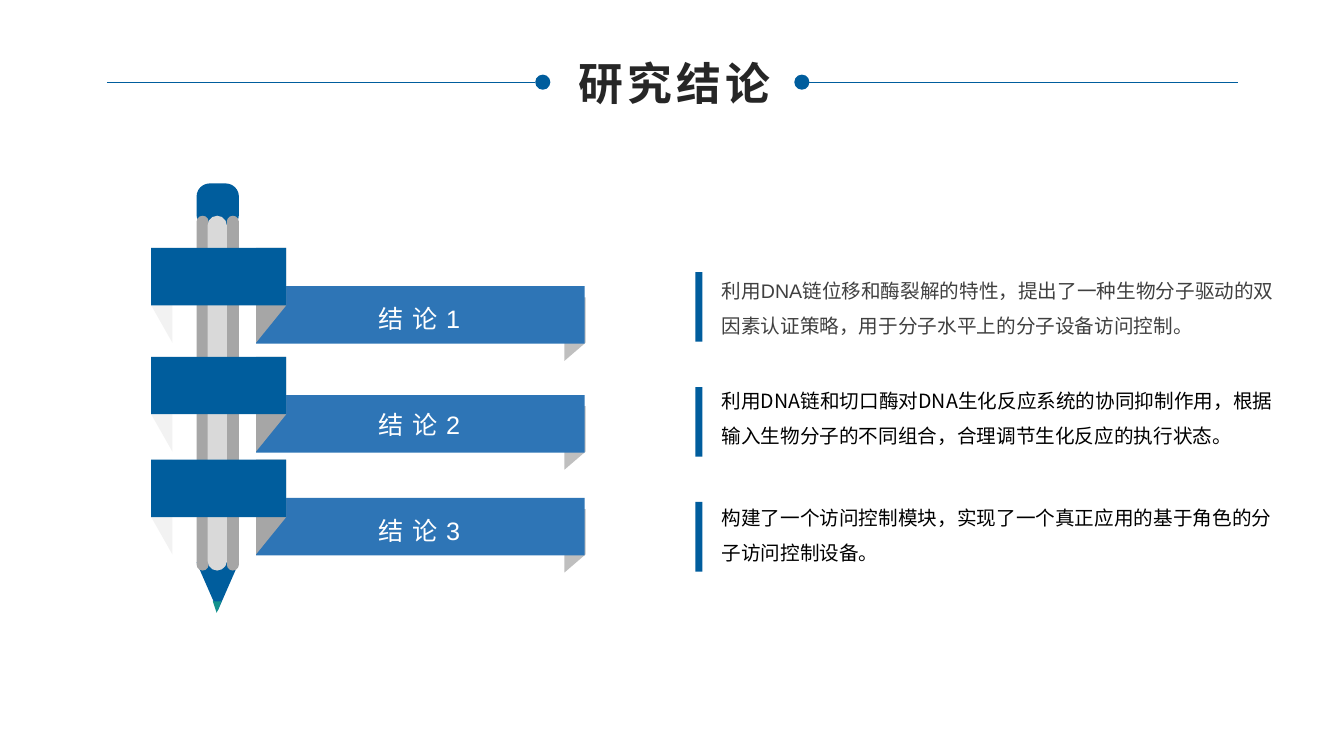
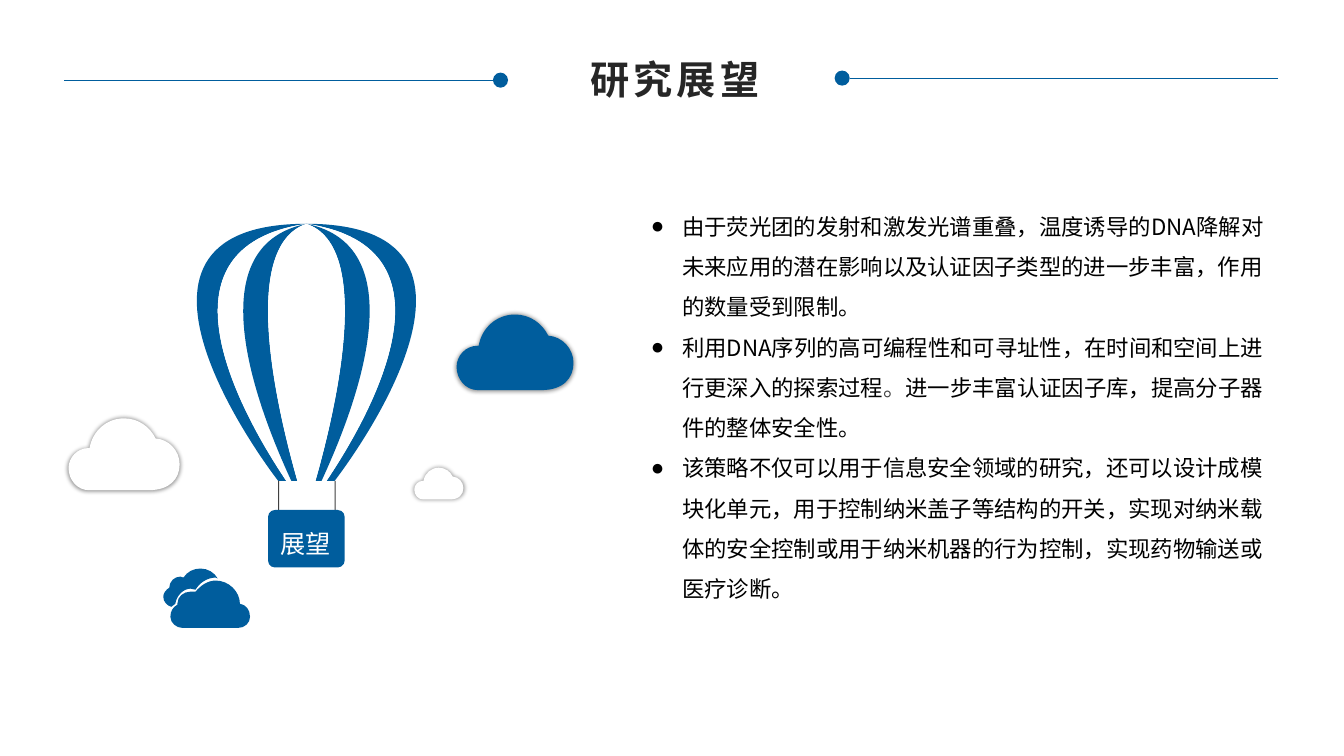
"""Build two slides: research conclusions on a pencil and outlook beside a balloon."""
from lxml import etree
from pptx import Presentation
from pptx.dml.color import RGBColor
from pptx.enum.shapes import MSO_CONNECTOR, MSO_SHAPE
from pptx.enum.text import PP_ALIGN
from pptx.oxml.ns import qn
from pptx.util import Inches, Pt

RECTANGLE = MSO_SHAPE.RECTANGLE
ROUNDED = MSO_SHAPE.ROUNDED_RECTANGLE
OVAL = MSO_SHAPE.OVAL
STRAIGHT = MSO_CONNECTOR.STRAIGHT
LEFT, CENTER = PP_ALIGN.LEFT, PP_ALIGN.CENTER

BLUE, BANNER_BLUE, TEAL = "005D9D", "2E75B6", "13918D"
WHITE, BLACK, TITLE_COLOR, DARK_GRAY = "FFFFFF", "000000", "262626", "404040"
FOLD_GRAY, TAIL_GRAY, PENCIL_GRAY, PALE_GRAY = "A6A6A6", "BFBFBF", "D9D9D9", "F2F2F2"
LATIN, CJK = "Arial", "Noto Sans CJK SC"


def paint(fill, color):
    """Make a fill solid in a hex colour."""
    fill.solid()
    fill.fore_color.rgb = RGBColor.from_string(color)


def add_form(slide, color, geometry, kind=None, corner=None):
    """Add a preset in a box, or an outline of points and cubic curves in inches."""
    if kind is not None:
        shape = slide.shapes.add_shape(kind, *[Inches(value) for value in geometry])
        if corner is not None:
            shape.adjustments[0] = corner
    else:
        units = [(segment[place] * 1000, segment[place + 1] * 1000)
                 for segment in geometry for place in range(0, len(segment), 2)]
        builder = slide.shapes.build_freeform(*units[0], scale=Inches(1) / 1000)
        builder.add_line_segments(units[1:], close=True)
        shape = builder.convert_to_shape()
        steps = iter(list(shape._element.iter(qn("a:lnTo"))))
        for segment in geometry[1:]:
            first = next(steps)
            if len(segment) == 6:
                curve = etree.Element(qn("a:cubicBezTo"))
                first.addprevious(curve)
                for step in (first, next(steps), next(steps)):
                    curve.append(step[0])
                    step.getparent().remove(step)
    paint(shape.fill, color)
    shape.line.fill.background()
    shape.shadow.inherit = False
    return shape


presentation = Presentation()
presentation.slide_width, presentation.slide_height = Inches(40 / 3), Inches(7.5)
blank = presentation.slide_layouts[6]
conclusions = presentation.slides.add_slide(blank)
outlook = presentation.slides.add_slide(blank)

for slide, rules in (
    (conclusions, ((1.06, 5.31, 5.31, 0.82), (12.28, 8.03, 7.88, 0.82))),
    (outlook, ((0.64, 4.89, 4.89, 0.8), (12.68, 8.43, 8.28, 0.78))),
):
    for outer, inner, dot_left, y in rules:
        connector = slide.shapes.add_connector(
            STRAIGHT, Inches(outer), Inches(y), Inches(inner), Inches(y))
        paint(connector.line.fill, BLUE)
        connector.line.width = Pt(0.25)
        etree.SubElement(connector._element.spPr, qn("a:effectLst"))
        add_form(slide, BLUE, (dot_left, y - 0.08, 0.15, 0.15), OVAL)

add_form(conclusions, BLUE, (1.95, 1.82, 0.42, 0.44), ROUNDED, 0.31)
add_form(conclusions, BLUE, [(1.95, 5.58), (2.37, 5.58), (2.16, 6.06)])
add_form(conclusions, TEAL, [(2.11, 5.96), (2.13, 5.97, 2.18, 5.97, 2.2, 5.96), (2.15, 6.08)])
for left, width, color in ((2.25, 0.12, FOLD_GRAY), (1.95, 0.12, FOLD_GRAY),
                           (2.06, 0.19, PENCIL_GRAY)):
    add_form(conclusions, color, (left, 2.14, width, 3.52), ROUNDED, 0.5)

for top in (2.46, 3.54, 4.56):
    add_form(conclusions, TAIL_GRAY, [(5.6, top + 0.49), (5.81, top + 0.49),
                                      (5.81, top + 0.94), (5.6, top + 1.12)])
    add_form(conclusions, BANNER_BLUE, (2.54, top + 0.38, 3.26, 0.57), RECTANGLE)
    for inner, outer, color in ((1.71, 1.5, PALE_GRAY), (2.54, 2.84, FOLD_GRAY)):
        add_form(conclusions, color, [(inner, top), (outer, top),
                                      (outer, top + 0.57), (inner, top + 0.94)])
    add_form(conclusions, BLUE, (1.5, top, 1.34, 0.57), RECTANGLE)

for index in range(3):
    add_form(conclusions, BLUE, (6.9, 2.7 + 1.14 * index, 0.07, 0.69), RECTANGLE)

axis, crown, mouth = 3.04, 2.22, 4.77
seams = [(2.27, 2.22, 0.28, 4.77, 0.28), (1.57, 2.45, 0.65, 4.1, 0.2),
         (1.12, 2.45, 0.46, 4.1, 0.15), (0.68, 2.45, 0.28, 4.1, 0.09)]
for side in (-1, 1):
    edges = [(axis + side * x1, y1, axis + side * x2, y2, axis + side * x3)
             for x1, y1, x2, y2, x3 in seams]
    for outer, inner, color in zip(edges, edges[1:], (BLUE, WHITE, BLUE)):
        x1, y1, x2, y2, end = inner
        add_form(outlook, color, [(axis, crown), (*outer, mouth), (end, mouth),
                                  (x2, y2, x1, y1, axis, crown)])
    add_form(outlook, WHITE, [(axis, crown), (*edges[-1], mouth), (axis, mouth)])
    add_form(outlook, DARK_GRAY, (axis + side * 0.28, mouth, 0.01, 0.29), RECTANGLE)
add_form(outlook, BLUE, (2.66, 5.06, 0.76, 0.57), ROUNDED, 0.12)

cloud = [(0.91, 0.21), (0.85, 0.09, 0.73, 0, 0.58, 0), (0.4, 0, 0.25, 0.13, 0.22, 0.31),
         (0.21, 0.31), (0.09, 0.31, 0, 0.41, 0, 0.52), (0, 0.64, 0.09, 0.75, 0.21, 0.75),
         (0.84, 0.75), (1.06, 0.75, 1.16, 0.63, 1.16, 0.48),
         (1.16, 0.34, 1.05, 0.22, 0.91, 0.21)]
for left, top, scale, color in ((4.11, 4.64, 0.42, WHITE), (4.53, 3.12, 1, BLUE),
                                (0.68, 4.15, 0.95, WHITE)):
    outline = [tuple((top if place % 2 else left) + value * scale
                     for place, value in enumerate(segment)) for segment in cloud]
    shape = add_form(outlook, color, outline)
    effects = shape._element.spPr.find(qn("a:effectLst"))
    shadow = etree.SubElement(effects, qn("a:outerShdw"), blurRad=str(Pt(3)), dist="0",
                              dir="0", sx="102000", sy="102000", algn="ctr")
    shade = etree.SubElement(shadow, qn("a:srgbClr"), val=BLACK)
    etree.SubElement(shade, qn("a:alpha"), val="40000")

add_form(outlook, BLUE, [
    (1.74, 5.99), (1.75, 5.91, 1.82, 5.84, 1.89, 5.84), (1.91, 5.84, 1.92, 5.84, 1.94, 5.85),
    (1.98, 5.78, 2.06, 5.73, 2.14, 5.73), (2.16, 5.74), (2.13, 5.68, 2.06, 5.64, 1.99, 5.64),
    (1.92, 5.64, 1.86, 5.67, 1.82, 5.73), (1.79, 5.72), (1.73, 5.72, 1.68, 5.77, 1.68, 5.83),
    (1.65, 5.85, 1.62, 5.88, 1.62, 5.92), (1.62, 5.97, 1.66, 6.01, 1.7, 6.02)])
add_form(outlook, BLUE, [
    (2.38, 5.99), (2.38, 5.87, 2.27, 5.76, 2.14, 5.76), (2.06, 5.76, 1.99, 5.81, 1.94, 5.87),
    (1.89, 5.87), (1.82, 5.87, 1.76, 5.92, 1.76, 5.99), (1.76, 6),
    (1.72, 6.02, 1.69, 6.06, 1.69, 6.12), (1.69, 6.18, 1.75, 6.23, 1.81, 6.23),
    (2.36, 6.23), (2.43, 6.23, 2.48, 6.18, 2.48, 6.12), (2.48, 6.05, 2.44, 6, 2.38, 5.99)])

title = {"align": CENTER, "bold": True, "tracking": 300, "wrap": False}
label = {"tracking": 600}
body = {"line_spacing": 1.5}
bullets = {"line_spacing": 1.5, "bullet": "●"}
texts = [
    (conclusions, (5.61, 0.5, 2.17, 0.64), 32, title, [[("研究结论", LATIN, TITLE_COLOR)]]),
    (outlook, (5.72, 0.5, 1.95, 0.57), 28, title, [[("研究展望", LATIN, TITLE_COLOR)]]),
    (outlook, (2.68, 5.19, 0.71, 0.4), 18, {"wrap": False}, [[("展望", LATIN, WHITE)]]),
    (conclusions, (7.06, 2.6, 5.82, 0.77), 14, body, [[(
        "利用DNA链位移和酶裂解的特性，提出了一种生物分子驱动的双因素认证策略，"
        "用于分子水平上的分子设备访问控制。", LATIN, DARK_GRAY)]]),
    (conclusions, (7.06, 3.69, 5.82, 0.77), 14, body, [[(
        "利用DNA链和切口酶对DNA生化反应系统的协同抑制作用，"
        "根据输入生物分子的不同组合，合理调节生化反应的执行状态。", CJK, BLACK)]]),
    (conclusions, (7.06, 4.85, 5.75, 0.77), 14, body, [[(
        "构建了一个访问控制模块，实现了一个真正应用的基于角色的分子访问控制设备。",
        CJK, BLACK)]]),
    (outlook, (6.36, 1.93, 6.43, 4.09), 16, bullets, [
        [("由于荧光团的发射和激发光谱重叠，温度诱导的DNA降解对未来应用的潜在影响"
          "以及认证因子类型的进一步丰富，作用的数量受到限制。", CJK, BLACK)],
        [("利用DNA序列的高可编程性和可寻址性，在时间和空间上进行更深入的探索过程", CJK, BLACK),
         ("。", LATIN, DARK_GRAY),
         ("进一步丰富认证因子库，提高分子器件的整体安全性。", CJK, BLACK)],
        [("该策略不仅可以用于信息安全领域的研究，还可以设计成模块化单元，"
          "用于控制纳米盖子等结构的开关，实现对纳米载体的安全控制"
          "或用于纳米机器的行为控制，实现药物输送或医疗诊断。", CJK, BLACK)]]),
]
for index in range(3):
    texts.append((conclusions, (3.66, 2.96 + 1.05 * index, 1.17, 0.4), 18, label,
                  [[(f"结论{index + 1}", LATIN, WHITE)]]))

for slide, box, size, style, paragraphs in texts:
    frame = slide.shapes.add_textbox(*[Inches(value) for value in box]).text_frame
    frame.word_wrap = style.get("wrap", True)
    for number, runs in enumerate(paragraphs):
        paragraph = frame.add_paragraph() if number else frame.paragraphs[0]
        if "bullet" in style:
            properties = paragraph._p.get_or_add_pPr()
            properties.set("marL", str(Inches(0.31)))
            properties.set("indent", str(-Inches(0.31)))
            etree.SubElement(properties, qn("a:buFont"), typeface=LATIN)
            etree.SubElement(properties, qn("a:buChar"), char=style["bullet"])
        paragraph.alignment = style.get("align", LEFT)
        paragraph.line_spacing = style.get("line_spacing", 1.0)
        for text, font_name, color in runs:
            run = paragraph.add_run()
            run.text = text
            run.font.name = font_name
            run.font.size = Pt(size)
            run.font.bold = style.get("bold", False)
            paint(run.font.fill, color)
            run_properties = run._r.get_or_add_rPr()
            run_properties.set("lang", "zh-CN")
            run_properties.set("spc", str(style.get("tracking", 0)))
            etree.SubElement(run_properties, qn("a:ea"), typeface=CJK)

presentation.save("out.pptx")
